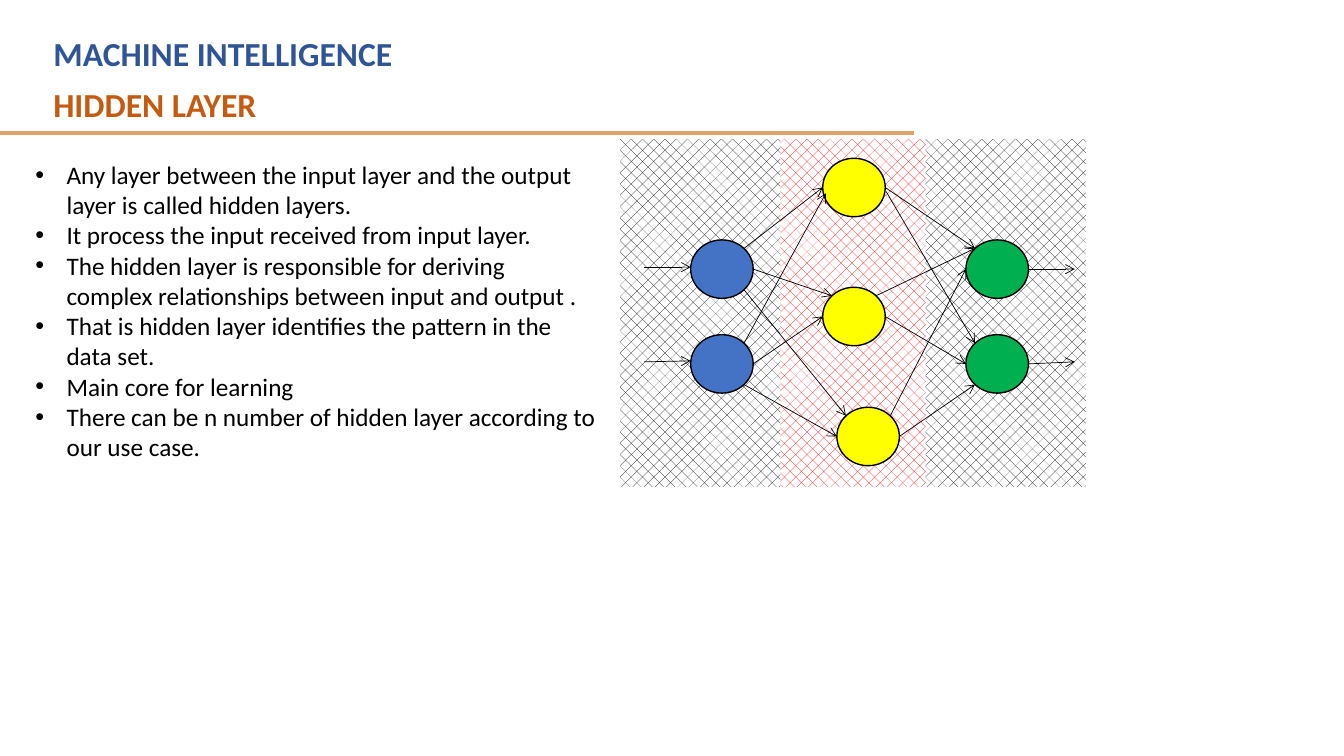
"""Builds the Hidden Layer slide: headings, bullet list and a 2-3-2 neural network."""
from lxml import etree
from pptx import Presentation
from pptx import util as u
from pptx.dml.color import RGBColor
from pptx.enum import dml, shapes, text
from pptx.oxml.ns import qn

BLACK, WHITE = RGBColor(0, 0, 0), RGBColor(255, 255, 255)
RED, GOLD = RGBColor(255, 0, 0), RGBColor(0xDF, 0xA2, 0x67)
NAVY, RUST = RGBColor(0x2F, 0x55, 0x97), RGBColor(0xC5, 0x5A, 0x11)
BLUE, YELLOW, GREEN = RGBColor(0x44, 0x72, 0xC4), RGBColor(255, 255, 0), RGBColor(0, 0xB0, 0x50)

TITLE, SUBTITLE = "MACHINE INTELLIGENCE", "HIDDEN LAYER"
BULLETS = [
    "Any layer between the input layer and the output layer is called hidden layers.",
    "It process the input received from input layer.",
    "The hidden layer is responsible for deriving complex relationships between input and output .",
    "That is hidden layer identifies the pattern in the data set.",
    "Main core for learning",
    "There can be n number of hidden layer according to our use case.",
]
BANDS = [(7.67, RED), (9.18, BLACK), (6.15, BLACK)]
BAND_TOP, BAND_W, BAND_H = 1.38, 1.59, 3.45
NODE_W, NODE_H = 0.62, 0.58
NODES = {
    "in1": (6.85, 2.38, BLUE), "in2": (6.85, 3.32, BLUE),
    "hid1": (8.16, 1.57, YELLOW), "hid2": (8.16, 2.85, YELLOW), "hid3": (8.3, 4.04, YELLOW),
    "out1": (9.58, 2.38, GREEN), "out2": (9.58, 3.32, GREEN),
}
SITES = {"W": (-1, 0), "E": (1, 0), "NW": (-.71, -.71), "NE": (.71, -.71),
         "SW": (-.71, .71), "SE": (.71, .71), "WSW": (-.9, .2), "ESE": (1.03, .14)}
EDGES = [
    ("in1", "NE", "hid1", "W"), ("in1", "E", "hid2", "NW"), ("in1", "SE", "hid3", "NW"),
    ("in2", "NE", "hid1", "WSW"), ("in2", "E", "hid2", "W"), ("in2", "SE", "hid3", "W"),
    ("hid1", "E", "out1", "NW"), ("hid1", "ESE", "out2", "NW"),
    ("hid2", "NE", "out1", "NW"), ("hid2", "E", "out2", "W"),
    ("hid3", "NE", "out1", "W"), ("hid3", "E", "out2", "SW"),
]
OUTER_ARROWS = [((10.2, 2.67), (10.66, 2.67)), ((10.2, 3.61), (10.66, 3.59)),
                ((6.39, 2.65), (6.85, 2.65)), ((6.39, 3.59), (6.85, 3.58))]


def place(sp, *box):
    for name, value in zip(("left", "top", "width", "height"), box):
        setattr(sp, name, u.Inches(value))


def write(sp, lines, bullet=False, **font):
    tf = sp.text_frame
    for name, value in dict(word_wrap=True, auto_size=text.MSO_AUTO_SIZE.NONE,
                            vertical_anchor=text.MSO_ANCHOR.TOP).items():
        setattr(tf, name, value)
    for i, line in enumerate(lines):
        p = tf.paragraphs[0] if i == 0 else tf.add_paragraph()
        for name, value in dict(alignment=text.PP_ALIGN.LEFT, line_spacing=1.0,
                                space_before=u.Pt(0), space_after=u.Pt(0)).items():
            setattr(p, name, value)
        if bullet:
            pPr = p._p.get_or_add_pPr()
            pPr.set("marL", str(u.Inches(0.31)))
            pPr.set("indent", str(u.Inches(-0.31)))
            etree.SubElement(pPr, qn("a:buFont")).set("typeface", "Arial")
            etree.SubElement(pPr, qn("a:buChar")).set("char", "•")
        r = p.add_run()
        r.text = line
        r.font.color.rgb = font["color"]
        for name in ("size", "bold"):
            setattr(r.font, name, font[name])
        r.font.name = "Calibri"


def add_line(s, start, end, color=BLACK, width=0.5, arrow=True):
    cx = s.shapes.add_connector(shapes.MSO_CONNECTOR.STRAIGHT,
                                *(u.Inches(v) for v in (*start, *end)))
    cx.line.color.rgb = color
    cx.line.width = u.Pt(width)
    if arrow:
        etree.SubElement(cx.line._get_or_add_ln(), qn("a:tailEnd")).set("type", "arrow")
    etree.SubElement(cx._element.spPr, qn("a:effectLst"))


def add_shape(s, kind, *box):
    sp = s.shapes.add_shape(kind, *(u.Inches(v) for v in box))
    sp.shadow.inherit = False
    return sp


def site(node, side):
    left, top, _ = NODES[node]
    dx, dy = SITES[side]
    return left + NODE_W / 2 * (1 + dx), top + NODE_H / 2 * (1 + dy)


def main():
    prs = Presentation()
    prs.slide_width, prs.slide_height = u.Inches(13.33), u.Inches(7.5)
    s = prs.slides.add_slide(prs.slide_layouts[1])

    for left, color in BANDS:
        band = add_shape(s, shapes.MSO_SHAPE.RECTANGLE, left, BAND_TOP, BAND_W, BAND_H)
        band.fill.patterned()
        band.fill.pattern = dml.MSO_PATTERN.PERCENT_25
        band.fill.fore_color.rgb, band.fill.back_color.rgb = color, WHITE
        band.line.fill.background()

    add_line(s, (0, 1.32), (9.07, 1.32), GOLD, 3, arrow=False)
    title, body = s.shapes.title, s.placeholders[1]
    subtitle = s.shapes.add_textbox(0, 0, 0, 0)
    place(title, 0.43, 0.28, 8.2, 0.5)
    place(subtitle, 0.43, 0.78, 8.75, 0.5)
    place(body, 0.25, 1.53, 5.77, 3.13)
    write(title, [TITLE], size=u.Pt(24), color=NAVY, bold=True)
    write(subtitle, [SUBTITLE], size=u.Pt(24), color=RUST, bold=True)
    write(body, BULLETS, bullet=True, size=u.Pt(18), color=BLACK, bold=False)

    for left, top, color in NODES.values():
        node = add_shape(s, shapes.MSO_SHAPE.OVAL, left, top, NODE_W, NODE_H)
        node.fill.solid()
        node.fill.fore_color.rgb = color
        node.line.color.rgb = BLACK
        node.line.width = u.Pt(1)

    for source, leave, target, enter in EDGES:
        add_line(s, site(source, leave), site(target, enter))
    for start, end in OUTER_ARROWS:
        add_line(s, start, end)
    prs.save("out.pptx")


if __name__ == "__main__":
    main()
